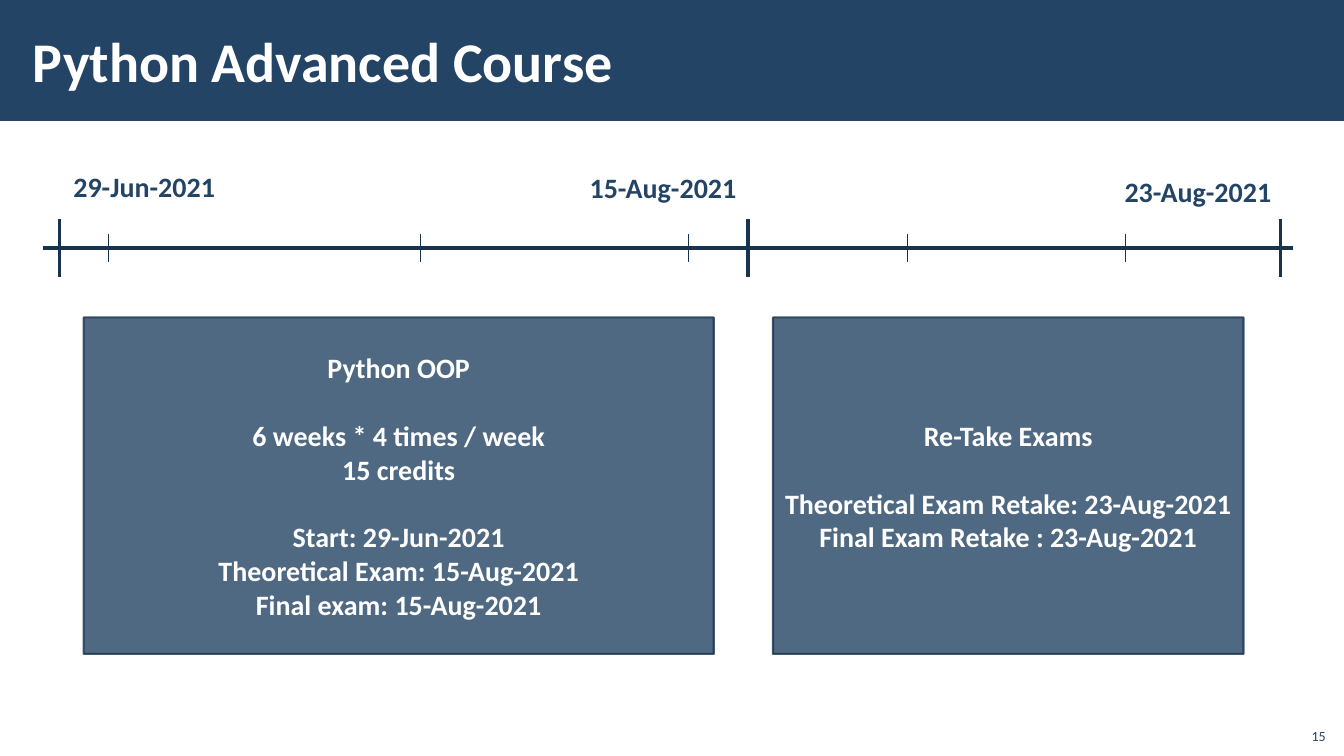
from lxml import etree
from pptx import Presentation
from pptx.dml.color import RGBColor
from pptx.enum.shapes import MSO_CONNECTOR, MSO_SHAPE
from pptx.enum.text import MSO_ANCHOR, PP_ALIGN
from pptx.oxml.ns import qn
from pptx.util import Cm, Pt

STRAIGHT = MSO_CONNECTOR.STRAIGHT
RECTANGLE = MSO_SHAPE.RECTANGLE
TOP, MIDDLE, BOTTOM = MSO_ANCHOR.TOP, MSO_ANCHOR.MIDDLE, MSO_ANCHOR.BOTTOM
LEFT, CENTER, RIGHT = PP_ALIGN.LEFT, PP_ALIGN.CENTER, PP_ALIGN.RIGHT

NAVY, DARK_NAVY, WHITE = "234465", "1A334C", "FFFFFF"
FONT = "Calibri"
SLIDE_WIDTH, SLIDE_HEIGHT = 33.87, 19.05

# Positions in cm: (distance along the timeline, ...)
MAJOR_TICKS = [0.41, 17.76, 31.19]
MINOR_TICKS = [1.65, 9.5, 16.26, 21.77, 27.28]
# Date, left and top relative to the start of the timeline, width
DATES = [
    ("29-Jun-2021", 0.51, -2.11, 4.11),
    ("15-Aug-2021", 13.52, -2.08, 4.27),
    ("23-Aug-2021", 27.0, -1.98, 4.27),
]
# Each course is a list of groups of lines
OOP_COURSE = [
    ["Python OOP"],
    ["6 weeks * 4 times / week", "15 credits"],
    ["Start: 29-Jun-2021", "Theoretical Exam: 15-Aug-2021", "Final exam: 15-Aug-2021"],
]
RETAKES = [
    ["Re-Take Exams"],
    ["Theoretical Exam Retake: 23-Aug-2021", "Final Exam Retake : 23-Aug-2021"],
]


def color(hex_value):
    return RGBColor.from_string(hex_value)


def set_alpha(color_format_fill, percent):
    """Make every solid colour below the given element translucent."""
    for rgb in color_format_fill.iter(qn("a:srgbClr")):
        etree.SubElement(rgb, qn("a:alpha"), val=str(percent * 1000))


def write(paragraph, text, size=20, fill=NAVY, bold=True, align=LEFT, before=0):
    paragraph.alignment = align
    paragraph.space_before = Pt(before)
    run = paragraph.add_run()
    run.text = text
    run.font.name = FONT
    run.font.size = Pt(size)
    run.font.bold = bold
    run.font.color.rgb = color(fill)


def add_text(slide, text, box, anchor=TOP, wrap=True, **text_format):
    shape = slide.shapes.add_textbox(*map(Cm, box))
    frame = shape.text_frame
    frame.word_wrap = wrap
    frame.vertical_anchor = anchor
    write(frame.paragraphs[0], text, **text_format)
    return frame


def add_rectangle(slide, box):
    shape = slide.shapes.add_shape(RECTANGLE, *map(Cm, box))
    shape.shadow.inherit = False
    shape.fill.solid()
    shape.fill.fore_color.rgb = color(NAVY)
    return shape


def add_line(slide, start, end, width):
    line = slide.shapes.add_connector(STRAIGHT, *map(Cm, start + end))
    line.line.color.rgb = color(DARK_NAVY)
    line.line.width = Pt(width)
    etree.SubElement(line._element.spPr, qn("a:effectLst"))


def add_banner(slide, title, box):
    left, top, width, height = box
    add_rectangle(slide, box).line.fill.background()
    frame = add_text(slide, title, (left + 0.53, top + 0.28, 27, height - 0.59),
                     anchor=MIDDLE, size=40, fill=WHITE)
    frame.margin_left = frame.margin_right = Cm(0.3)
    frame.margin_top = frame.margin_bottom = Cm(0.1)


def add_timeline(slide, left, middle, width):
    add_line(slide, (left, middle), (left + width, middle), 2.25)
    for ticks, half, weight in ((MAJOR_TICKS, 0.72, 2.25), (MINOR_TICKS, 0.36, 0.5)):
        for offset in ticks:
            x = left + offset
            add_line(slide, (x, middle - half), (x, middle + half), weight)
    for date, offset, rise, date_width in DATES:
        add_text(slide, date, (left + offset, middle + rise, date_width, 1.12), wrap=False)


def add_course(slide, groups, box):
    shape = add_rectangle(slide, box)
    shape.line.color.rgb = color(DARK_NAVY)
    shape.line.width = Pt(1.5)
    set_alpha(shape._element.spPr, 80)
    frame = shape.text_frame
    frame.word_wrap = True
    frame.vertical_anchor = MIDDLE
    paragraph = frame.paragraphs[0]
    for group_index, group in enumerate(groups):
        for line_index, text in enumerate(group):
            if group_index or line_index:
                paragraph = frame.add_paragraph()
            # A gap of one line opens each group after the first
            gap = 24.4 if group_index and not line_index else 0
            write(paragraph, text, fill=WHITE, align=CENTER, before=gap)


def main():
    presentation = Presentation()
    presentation.slide_width = Cm(SLIDE_WIDTH)
    presentation.slide_height = Cm(SLIDE_HEIGHT)
    slide = presentation.slides.add_slide(presentation.slide_layouts[6])

    add_banner(slide, "Python Advanced Course", (0, 0, SLIDE_WIDTH, 3.05))
    add_timeline(slide, left=1.09, middle=6.25, width=31.5)
    add_course(slide, OOP_COURSE, (2.11, 8, 15.88, 8.48))
    add_course(slide, RETAKES, (19.48, 8, 11.86, 8.48))
    # Slide number
    add_text(slide, "15", (32.64, 18.08, 1.02, 0.81), anchor=BOTTOM,
             size=10, bold=False, align=RIGHT)

    presentation.save("out.pptx")


if __name__ == "__main__":
    main()
